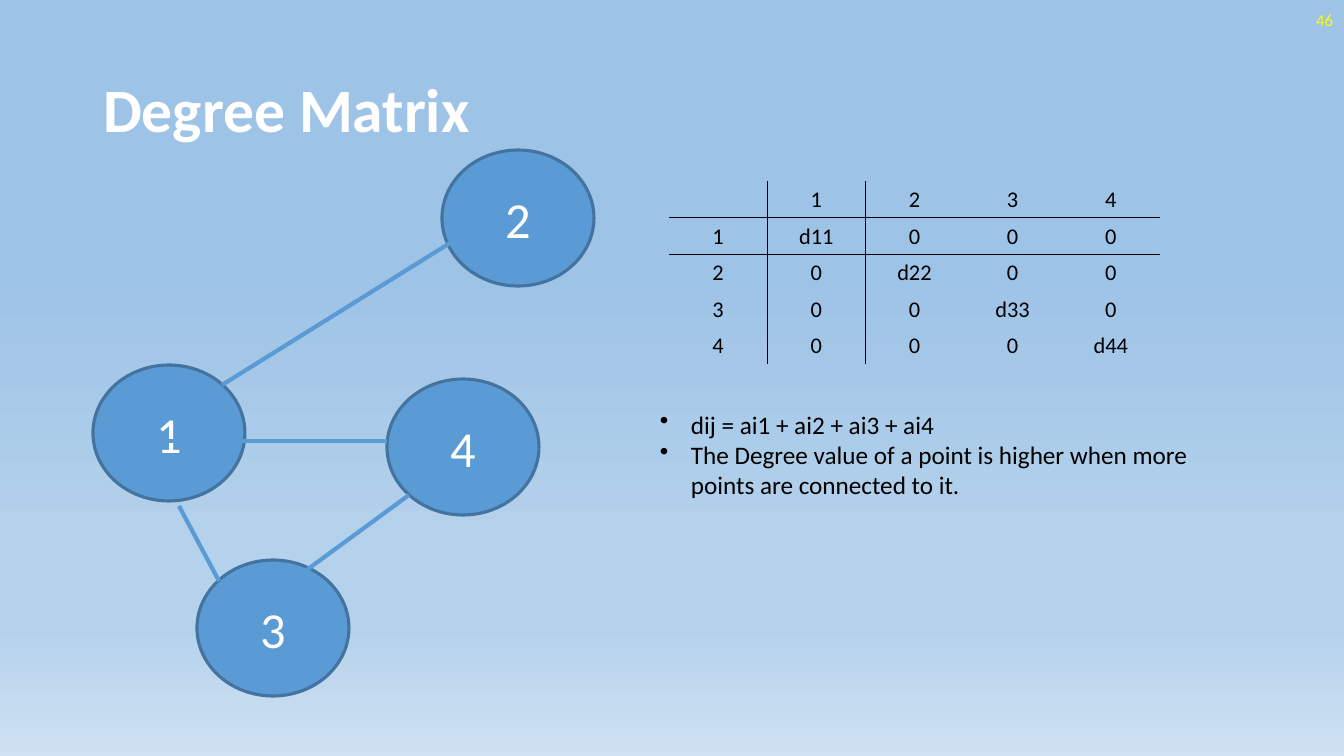
"""Build the Degree Matrix slide: a four-node graph beside its degree matrix."""

import copy
from dataclasses import dataclass

import pptx
import pptx.dml.color
import pptx.enum.shapes
import pptx.enum.text
import pptx.oxml
import pptx.oxml.ns
import pptx.util

RGB = pptx.dml.color.RGBColor
ALIGN = pptx.enum.text.PP_ALIGN
ANCHOR = pptx.enum.text.MSO_ANCHOR
qn = pptx.oxml.ns.qn

WHITE = RGB(0xFF, 0xFF, 0xFF)
BLACK = RGB(0x00, 0x00, 0x00)
YELLOW = RGB(0xFF, 0xFF, 0x00)
BLUE = RGB(0x5B, 0x9B, 0xD5)
DARK_BLUE = RGB(0x43, 0x73, 0x9E)
SKY = RGB(0x9D, 0xC3, 0xE6)
PALE = RGB(0xB5, 0xD2, 0xEC)
PALEST = RGB(0xCE, 0xE1, 0xF2)
GRADIENT = [(0.35, SKY), (0.74, PALE), (0.83, PALE), (1.0, PALEST)]

FONT = "Calibri"
PX_PER_INCH = 100.8
NODE_W, NODE_H = 152, 136
MATRIX_SIZE = 4
NO_GRID_STYLE = "{2D5ABB26-0587-4C30-8999-92F81FD0307C}"


@dataclass
class Node:
    label: str
    x: int
    y: int


@dataclass
class Edge:
    x1: int
    y1: int
    x2: int
    y2: int


NODES = [
    Node("1", 93, 365),
    Node("2", 442, 150),
    Node("3", 197, 560),
    Node("4", 387, 379),
]
EDGES = [
    Edge(222, 385, 450, 243),
    Edge(130, 441, 387, 441),
    Edge(304, 572, 409, 495),
    Edge(179, 506, 219, 581),
]
NOTES = [
    "dij = ai1 + ai2 + ai3 + ai4",
    "The Degree value of a point is higher when more points are connected to it.",
]


def px(n: int) -> int:
    return round(n * 914400 / PX_PER_INCH)


def add_text(p, text: str, *, size: int, color: RGB, bold=False,
             align=ALIGN.LEFT, bullet=False) -> None:
    p.alignment = align
    if bullet:
        p_pr = p._p.get_or_add_pPr()
        p_pr.set("marL", str(px(31)))
        p_pr.set("indent", str(-px(31)))
        bu = pptx.oxml.parse_xml(
            f'<a:buChar {pptx.oxml.ns.nsdecls("a")} char="•"/>')
        p_pr.append(bu)
    r = p.add_run()
    r.text = text
    r.font.name = FONT
    r.font.size = pptx.util.Pt(size)
    r.font.bold = bold
    r.font.color.rgb = color


def set_background(s) -> None:
    fill = s.background.fill
    fill.gradient()
    fill.gradient_angle = 270
    gs_lst = next(s.element.iter(qn("a:gsLst")))
    while len(gs_lst) < len(GRADIENT):
        gs_lst.append(copy.deepcopy(gs_lst[0]))
    for stop, (position, color) in zip(fill.gradient_stops, GRADIENT):
        stop.position = position
        stop.color.rgb = color


def add_title(s, text: str) -> None:
    sp = s.shapes.title
    sp.left, sp.top, sp.width, sp.height = px(93), px(40), px(1159), px(146)
    tf = sp.text_frame
    tf.auto_size = pptx.enum.text.MSO_AUTO_SIZE.NONE
    tf.vertical_anchor = ANCHOR.MIDDLE
    p = tf.paragraphs[0]
    p.line_spacing = 0.9
    add_text(p, text, size=44, color=WHITE, bold=True)


def add_box(s, x: int, y: int, w: int, h: int):
    tf = s.shapes.add_textbox(px(x), px(y), px(w), px(h)).text_frame
    tf.word_wrap = True
    return tf


def add_borders(cell, sides: list[str]) -> None:
    tc_pr = cell._tc.get_or_add_tcPr()
    for i, side in enumerate(sides):
        tc_pr.insert(i, pptx.oxml.parse_xml(
            f'<a:ln{side} {pptx.oxml.ns.nsdecls("a")} w="6350"><a:solidFill>'
            f'<a:srgbClr val="{BLACK}"/></a:solidFill></a:ln{side}>'))


def matrix_text(row: int, col: int) -> str:
    if row and col:
        return f"d{row}{col}" if row == col else "0"
    return str(row or col or "")


def add_matrix(s) -> None:
    n = MATRIX_SIZE + 1
    frame = s.shapes.add_table(n, n, px(669), px(181), px(491), px(183))
    next(frame.element.iter(qn("a:tableStyleId"))).text = NO_GRID_STYLE
    table = frame.table
    table.first_row = table.horz_banding = False
    for row in range(n):
        for col in range(n):
            cell = table.cell(row, col)
            cell.fill.background()
            cell.vertical_anchor = ANCHOR.MIDDLE
            cell.margin_left = cell.margin_right = cell.margin_top = px(1)
            cell.margin_bottom = 0
            rules = {"L": col == 1, "R": col == 0, "T": row == 1, "B": row == 0}
            add_borders(cell, [side for side, shown in rules.items() if shown])
            text = matrix_text(row, col)
            if text:
                add_text(cell.text_frame.paragraphs[0], text, size=16,
                         color=BLACK, align=ALIGN.CENTER)


def add_node(s, node: Node) -> None:
    sp = s.shapes.add_shape(pptx.enum.shapes.MSO_SHAPE.OVAL, px(node.x),
                            px(node.y), px(NODE_W), px(NODE_H))
    sp.shadow.inherit = False
    sp.fill.solid()
    sp.fill.fore_color.rgb = BLUE
    sp.line.color.rgb = DARK_BLUE
    sp.line.width = pptx.util.Pt(2.25)
    tf = sp.text_frame
    tf.vertical_anchor = ANCHOR.MIDDLE
    add_text(tf.paragraphs[0], node.label, size=36, color=WHITE,
             align=ALIGN.CENTER)


def add_edge(s, edge: Edge) -> None:
    line = s.shapes.add_connector(
        pptx.enum.shapes.MSO_CONNECTOR.STRAIGHT,
        px(edge.x1), px(edge.y1), px(edge.x2), px(edge.y2))
    line.line.color.rgb = BLUE
    line.line.width = pptx.util.Pt(3)
    line.element.spPr.append(pptx.oxml.parse_xml(
        f'<a:effectLst {pptx.oxml.ns.nsdecls("a")}/>'))


def main() -> None:
    prs = pptx.Presentation()
    prs.slide_width, prs.slide_height = px(1344), px(756)
    s = prs.slides.add_slide(prs.slide_layouts[5])
    set_background(s)
    add_title(s, "Degree Matrix")
    add_matrix(s)

    tf = add_box(s, 1041, 0, 302, 40)
    tf.vertical_anchor = ANCHOR.MIDDLE
    add_text(tf.paragraphs[0], "46", size=12, color=YELLOW, align=ALIGN.RIGHT)

    for node in NODES:
        add_node(s, node)
    for edge in EDGES:
        add_edge(s, edge)

    tf = add_box(s, 650, 404, 564, 102)
    for i, note in enumerate(NOTES):
        p = tf.add_paragraph() if i else tf.paragraphs[0]
        add_text(p, note, size=18, color=BLACK, bullet=True)

    prs.save("out.pptx")


if __name__ == "__main__":
    main()
